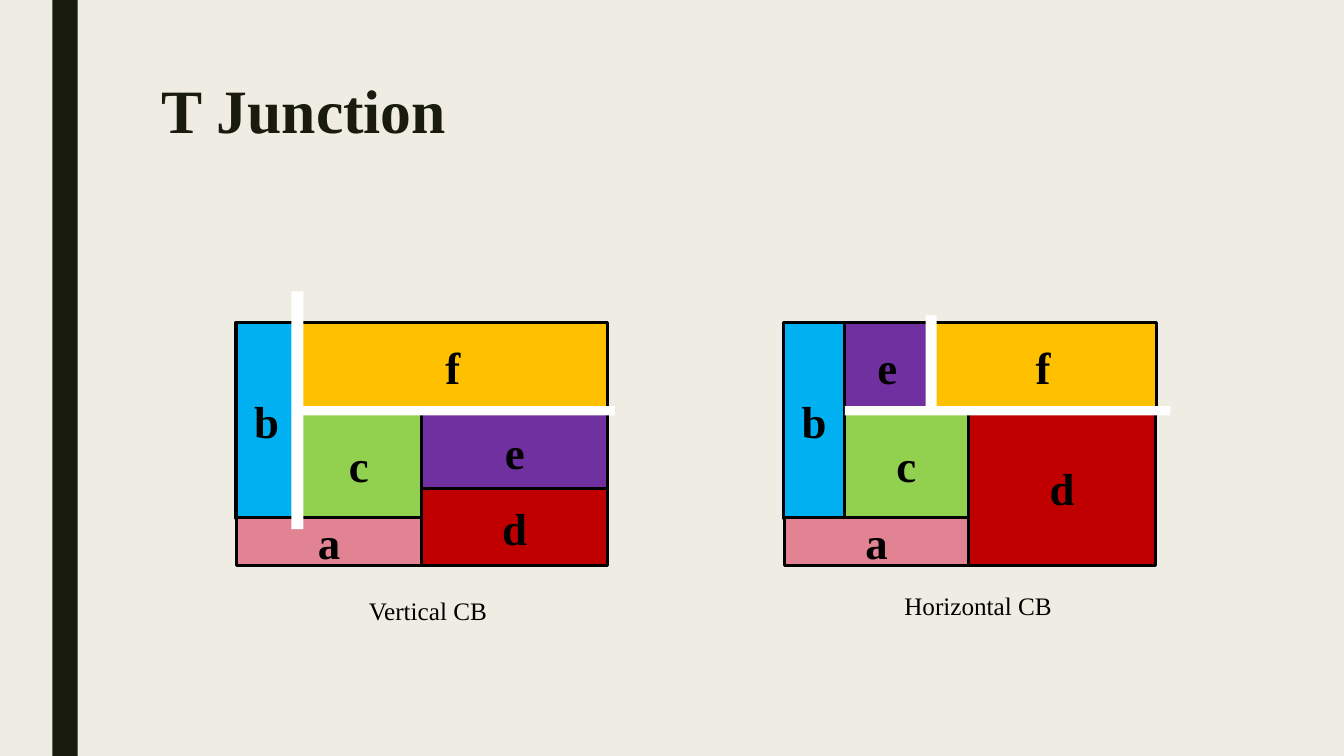
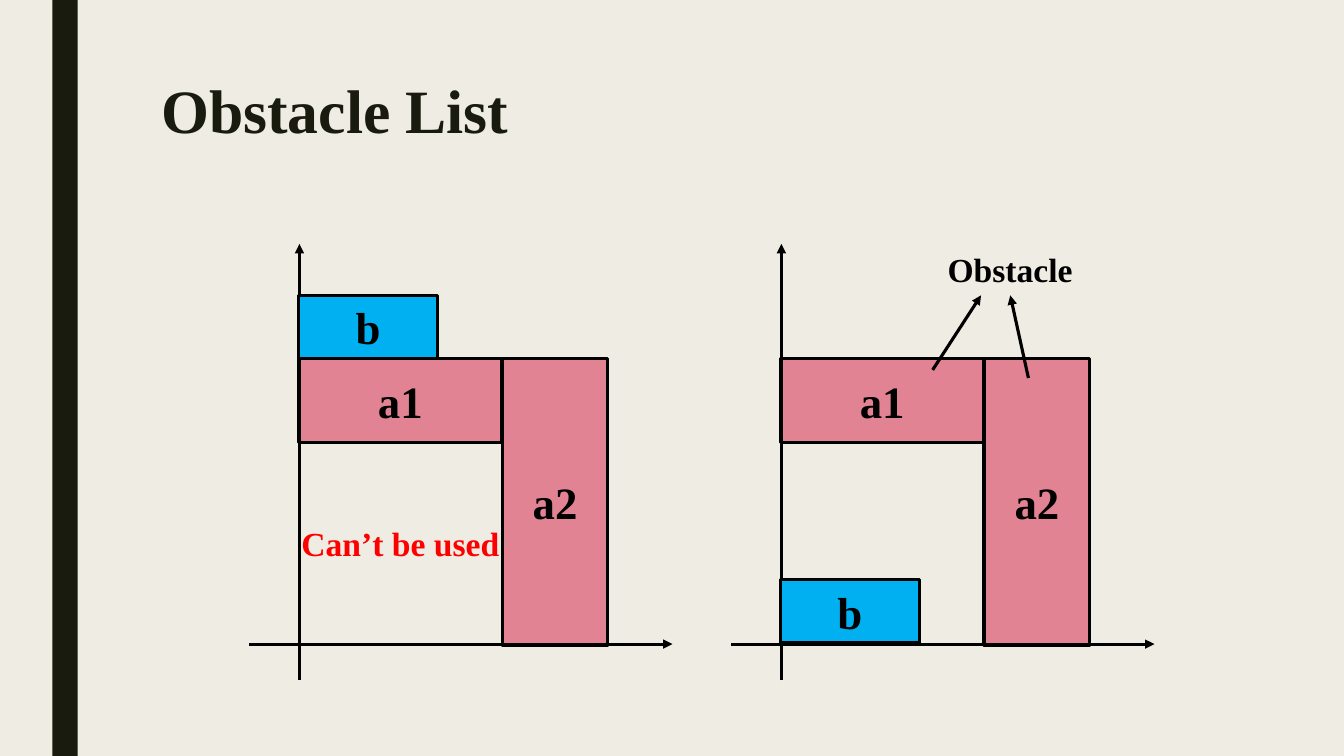
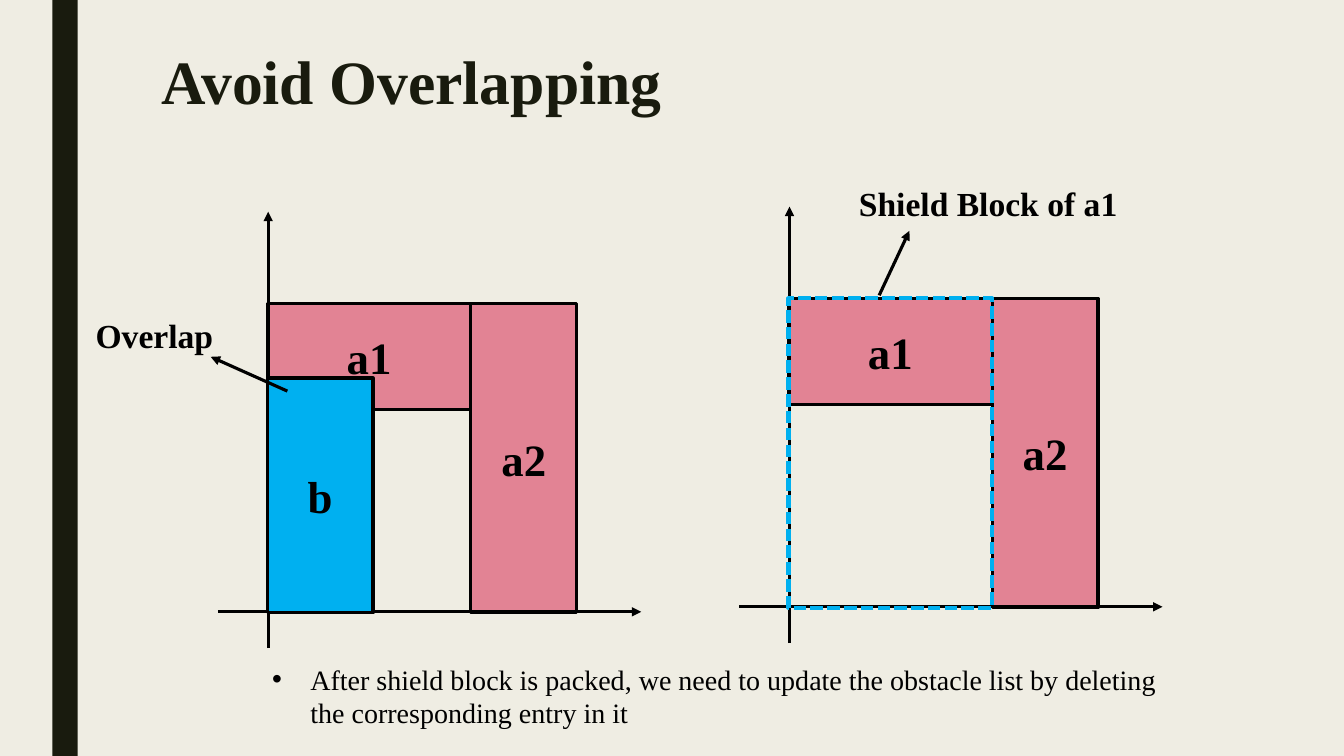
from dataclasses import dataclass, field

from lxml.etree import SubElement
from pptx import Presentation
from pptx.dml.color import RGBColor
from pptx.enum.dml import MSO_LINE
from pptx.enum.shapes import MSO_CONNECTOR, MSO_SHAPE
from pptx.enum.text import MSO_ANCHOR, MSO_AUTO_SIZE, PP_ALIGN
from pptx.oxml.ns import qn
from pptx.util import Inches, Pt


@dataclass(frozen=True)
class Theme:
    font: str = "Times New Roman"
    paper: str = "EFEDE3"
    dark: str = "191B0E"
    black: str = "000000"
    white: str = "FFFFFF"
    red: str = "FF0000"
    shield: str = "00B0F0"
    blocks: dict = field(default_factory=lambda: {
        "a": "E28394", "b": "00B0F0", "c": "92D050",
        "d": "C00000", "e": "7030A0", "f": "FFC000"})
    title_size: int = 44
    block_size: int = 32
    label_size: int = 24
    body_size: int = 20
    caption_size: int = 18
    line: float = 2.25
    shield_line: float = 3


THEME = Theme()


def rgb(value):
    return RGBColor.from_string(value)


def style_text(tf, size, color=THEME.black, bold=True):
    for p in tf.paragraphs:
        for r in p.runs:
            r.font.name = THEME.font
            r.font.size = Pt(size)
            r.font.bold = bold
            r.font.color.rgb = rgb(color)


def add_rect(shapes, x, y, w, h, fill=None, line=None, width=THEME.line):
    sp = shapes.add_shape(MSO_SHAPE.RECTANGLE, Inches(x), Inches(y), Inches(w), Inches(h))
    sp.shadow.inherit = False
    if fill:
        sp.fill.solid()
        sp.fill.fore_color.rgb = rgb(fill)
    else:
        sp.fill.background()
    if line:
        sp.line.color.rgb = rgb(line)
        sp.line.width = Pt(width)
    else:
        sp.line.fill.background()
    return sp


def add_block(shapes, name, x, y, w, h):
    """Named block, coloured by the first letter of its name."""
    sp = add_rect(shapes, x, y, w, h, THEME.blocks[name[0]], THEME.black)
    tf = sp.text_frame
    tf.text = name
    tf.vertical_anchor = MSO_ANCHOR.MIDDLE
    tf.paragraphs[0].alignment = PP_ALIGN.CENTER
    style_text(tf, THEME.block_size)


def add_arrow(shapes, x1, y1, x2, y2):
    cn = shapes.add_connector(MSO_CONNECTOR.STRAIGHT,
                              Inches(x1), Inches(y1), Inches(x2), Inches(y2))
    cn.line.color.rgb = rgb(THEME.black)
    cn.line.width = Pt(THEME.line)
    SubElement(cn.line._get_or_add_ln(), qn("a:tailEnd"), type="triangle")
    SubElement(cn._element.spPr, qn("a:effectLst"))


def add_label(shapes, text, x, y, w, h=0.5, size=THEME.label_size,
              color=THEME.black, bold=True):
    tf = shapes.add_textbox(Inches(x), Inches(y), Inches(w), Inches(h)).text_frame
    tf.word_wrap = True
    tf.auto_size = MSO_AUTO_SIZE.SHAPE_TO_FIT_TEXT
    tf.text = text
    style_text(tf, size, color, bold)
    return tf


def add_bullet(shapes, text, x, y, w, h):
    tf = add_label(shapes, text, x, y, w, h, THEME.body_size, bold=False)
    pPr = tf.paragraphs[0]._p.get_or_add_pPr()
    pPr.set("marL", str(Inches(0.38)))
    pPr.set("indent", str(Inches(-0.38)))
    SubElement(pPr, qn("a:buFont"), typeface="Arial")
    SubElement(pPr, qn("a:buChar"), char="•")


def add_floorplan(slide, x, y, blocks, cuts, caption, caption_box):
    """Packed blocks with white contour bars; all boxes are relative to (x, y)."""
    group = slide.shapes.add_group_shape().shapes
    for name, dx, dy, w, h in blocks:
        add_block(group, name, x + dx, y + dy, w, h)
    for dx, dy, w, h in cuts:
        add_rect(group, x + dx, y + dy, w, h, THEME.white)
    dx, dy, w, h = caption_box
    add_label(slide.shapes, caption, x + dx, y + dy, w, h, THEME.caption_size, bold=False)


def add_packing(slide, x, y, arm, leg):
    """L-shaped module a1 + a2 on axes crossing at (x, y)."""
    group = slide.shapes.add_group_shape().shapes
    left, top = x - 0.01, y + 0.01 - leg
    add_block(group, "a1", left, top, 2.02, arm)
    add_block(group, "a2", left + 2.02, top, 1.05, leg)
    add_arrow(group, x, y + 0.36, x, y - 3.97)
    add_arrow(group, x - 0.5, y, x + 3.7, y)


def setup_master(prs):
    """Put the background and the side band where all slides inherit them."""
    fill = prs.slide_master.background.fill
    fill.solid()
    fill.fore_color.rgb = rgb(THEME.paper)


def add_side_band(slide):
    """Draw the band and hand it over to the layout of the slide."""
    band = add_rect(slide.shapes, 0.52, 0, 0.25, 7.5, THEME.dark)
    slide.slide_layout.shapes.element.insert(2, band.element)


def add_titled_slide(prs, text, top=0.75):
    slide = prs.slides.add_slide(prs.slide_layouts[5])
    title = slide.shapes.title
    title.left, title.top = Inches(1.5), Inches(top)
    title.width, title.height = Inches(10.5), Inches(1.62)
    tf = title.text_frame
    tf.text = text
    tf.word_wrap = True
    tf.auto_size = MSO_AUTO_SIZE.NONE
    tf.vertical_anchor = MSO_ANCHOR.TOP
    p = tf.paragraphs[0]
    p.alignment = PP_ALIGN.LEFT
    p.line_spacing = 0.89
    style_text(tf, THEME.title_size, THEME.dark)
    return slide


def build_t_junction(prs):
    slide = add_titled_slide(prs, "T Junction")
    shared = [("c", 0.6, 0.87, 1.24, 1.08), ("b", 0, 0, 0.61, 1.94)]
    base = ("a", 0.01, 1.93, 1.83, 0.48)
    add_floorplan(
        slide, 2.34, 3.2,
        [("f", 0.61, 0, 3.08, 0.87), ("e", 1.84, 0.87, 1.85, 0.83), *shared,
         ("d", 1.84, 1.65, 1.85, 0.76), base],
        [(0.55, -0.31, 0.12, 2.36), (0.62, 0.83, 3.14, 0.09)],
        "Vertical CB", (1.22, 2.66, 1.53, 0.4))
    add_floorplan(
        slide, 7.77, 3.2,
        [("f", 1.45, 0, 2.25, 0.87), ("e", 0.61, 0, 0.84, 0.87), *shared,
         ("d", 1.84, 0.87, 1.85, 1.54), base],
        [(0.61, 0.83, 3.23, 0.09), (1.41, -0.07, 0.11, 0.95)],
        "Horizontal CB", (1.1, 2.61, 1.79, 0.4))
    return slide


def build_obstacle_list(prs):
    slide = add_titled_slide(prs, "Obstacle List")
    shapes = slide.shapes
    for x, b_top in ((2.97, 2.93), (7.75, 5.75)):
        add_packing(slide, x, 6.39, arm=0.83, leg=2.84)
        add_block(shapes, "b", x - 0.01, b_top, 1.38, 0.63)
    add_label(shapes, "Can’t be used", 2.89, 5.14, 2.47, color=THEME.red)
    add_label(shapes, "Obstacle", 9.3, 2.42, 2.47)
    add_arrow(shapes, 9.25, 3.67, 9.73, 2.93)
    add_arrow(shapes, 10.2, 3.75, 10.02, 2.93)


def build_avoid_overlapping(prs):
    slide = add_titled_slide(prs, "Avoid Overlapping", top=0.46)
    shapes = slide.shapes
    for x, y in ((2.66, 6.07), (7.83, 6.02)):
        add_packing(slide, x, y, arm=1.05, leg=3.07)
    add_block(shapes, "b", 2.65, 3.75, 1.05, 2.33)
    add_label(shapes, "Overlap", 0.85, 3.08, 2.47)
    add_arrow(shapes, 2.85, 3.88, 2.09, 3.54)
    shield = add_rect(shapes, 7.82, 2.96, 2.02, 3.07,
                      line=THEME.shield, width=THEME.shield_line)
    shield.line.dash_style = MSO_LINE.SQUARE_DOT
    add_arrow(shapes, 8.72, 2.93, 9.02, 2.29)
    add_label(shapes, "Shield Block of a1", 8.42, 1.77, 2.96)
    add_bullet(shapes, "After shield block is packed, we need to update the obstacle list "
               "by deleting the corresponding entry in it", 2.6, 6.52, 9.03, 0.77)


def main():
    prs = Presentation()
    prs.slide_width, prs.slide_height = Inches(13.33), Inches(7.5)
    setup_master(prs)
    add_side_band(build_t_junction(prs))
    build_obstacle_list(prs)
    build_avoid_overlapping(prs)
    prs.save("out.pptx")


if __name__ == "__main__":
    main()
